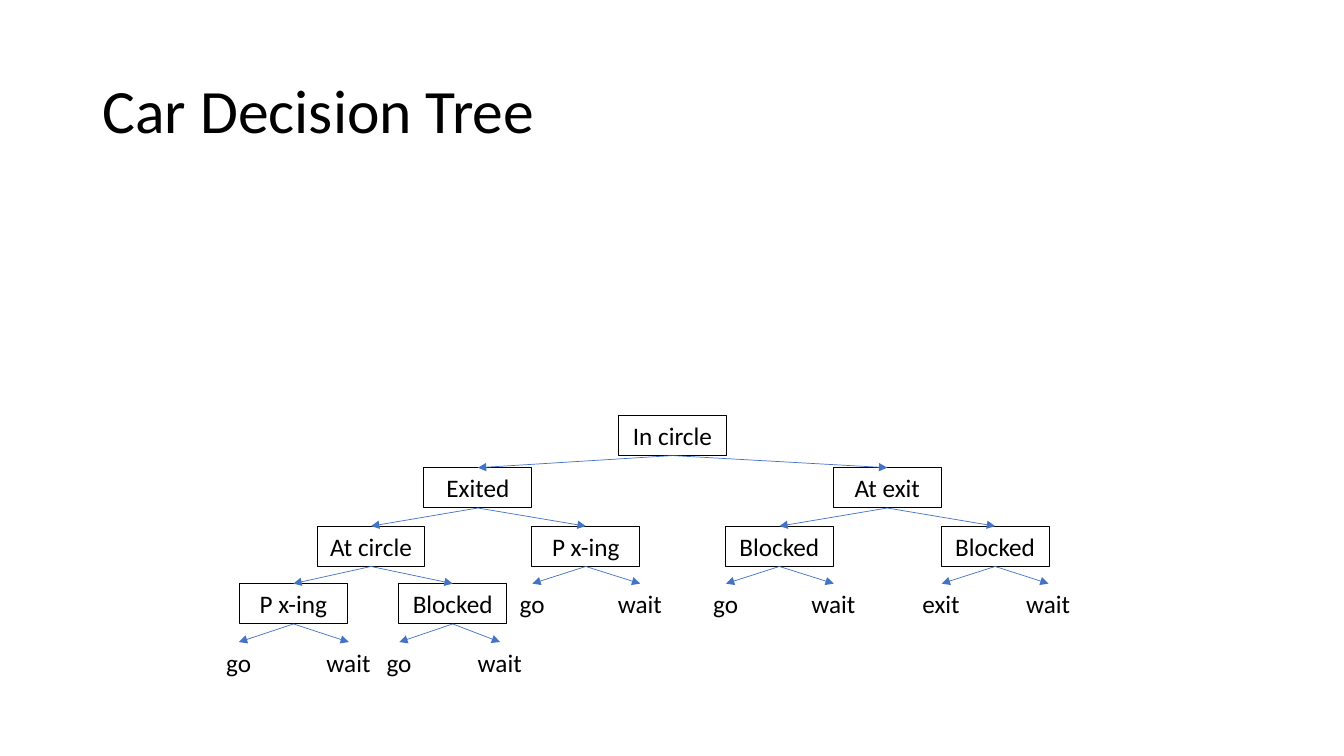
from pptx import Presentation
from pptx import util as u
from pptx.dml import color
from pptx.enum import shapes, text
from pptx.oxml import ns
from lxml import etree

COLORS = {"ink": "000000", "arrow": "4472C4"}
FONT = "Calibri"

# Tree geometry in inches
LEVEL_TOPS = [4.12, 4.64, 5.22, 5.79, 6.37]
NODE_WIDTH, NODE_HEIGHT = 1.07, 0.4
LEAF_WIDTHS = {"go": 0.45, "wait": 0.64, "exit": 0.58}
BOTTOM_SITE, TOP_SITE = 2, 0

# Each node: label, horizontal centre, children (none for an action)
TREE = ("In circle", 6.67, [
    ("Exited", 4.74, [
        ("At circle", 3.68, [
            ("P x-ing", 2.91, [("go", 2.37, []), ("wait", 3.46, [])]),
            ("Blocked", 4.49, [("go", 3.96, []), ("wait", 4.96, [])]),
        ]),
        ("P x-ing", 5.81, [("go", 5.28, []), ("wait", 6.35, [])]),
    ]),
    ("At exit", 8.8, [
        ("Blocked", 7.73, [("go", 7.2, []), ("wait", 8.27, [])]),
        ("Blocked", 9.87, [("exit", 9.34, []), ("wait", 10.4, [])]),
    ]),
])


def rgb(name):
    return color.RGBColor.from_string(COLORS[name])


def set_text(box, words, size):
    box.text_frame.text = words
    para = box.text_frame.paragraphs[0]
    span = para.runs[0]
    span.font.name = FONT
    span.font.size = u.Pt(size)
    span.font.color.rgb = rgb("ink")
    return para


def add_title(page, words):
    box = page.shapes.add_textbox(
        u.Inches(0.92), u.Inches(0.4), u.Inches(11.5), u.Inches(1.45))
    box.text_frame.word_wrap = True
    box.text_frame.vertical_anchor = text.MSO_ANCHOR.MIDDLE
    set_text(box, words, 44).line_spacing = 0.9


def add_question(page, label, center, top):
    box = page.shapes.add_shape(
        shapes.MSO_SHAPE.RECTANGLE, u.Inches(center - NODE_WIDTH / 2),
        u.Inches(top), u.Inches(NODE_WIDTH), u.Inches(NODE_HEIGHT))
    box.shadow.inherit = False
    box.fill.background()
    box.line.color.rgb = rgb("ink")
    box.line.width = u.Pt(0.75)
    box.text_frame.vertical_anchor = text.MSO_ANCHOR.MIDDLE
    set_text(box, label, 18).alignment = text.PP_ALIGN.CENTER
    return box


def add_action(page, label, center, top):
    width = LEAF_WIDTHS[label]
    box = page.shapes.add_textbox(
        u.Inches(center - width / 2), u.Inches(top),
        u.Inches(width), u.Inches(NODE_HEIGHT))
    box.text_frame.word_wrap = False
    set_text(box, label, 18)
    return box


def add_arrow(page, parent, child):
    arrow = page.shapes.add_connector(
        shapes.MSO_CONNECTOR.STRAIGHT, 0, 0, 0, 0)
    arrow.begin_connect(parent, BOTTOM_SITE)
    arrow.end_connect(child, TOP_SITE)
    arrow.line.color.rgb = rgb("arrow")
    arrow.line.width = u.Pt(0.5)
    # Arrowhead at the child, no shadow
    properties = arrow.element.spPr
    outline = properties.find(ns.qn("a:ln"))
    etree.SubElement(outline, ns.qn("a:tailEnd"), type="triangle")
    etree.SubElement(properties, ns.qn("a:effectLst"))


def add_branch(page, node, level=0):
    label, center, children = node
    add_node = add_question if children else add_action
    box = add_node(page, label, center, LEVEL_TOPS[level])
    for child in children:
        add_arrow(page, box, add_branch(page, child, level + 1))
    return box


def main():
    deck = Presentation()
    deck.slide_width = u.Inches(13.33)
    deck.slide_height = u.Inches(7.5)
    page = deck.slides.add_slide(deck.slide_layouts[6])
    add_title(page, "Car Decision Tree")
    add_branch(page, TREE)
    deck.save("out.pptx")


main()
